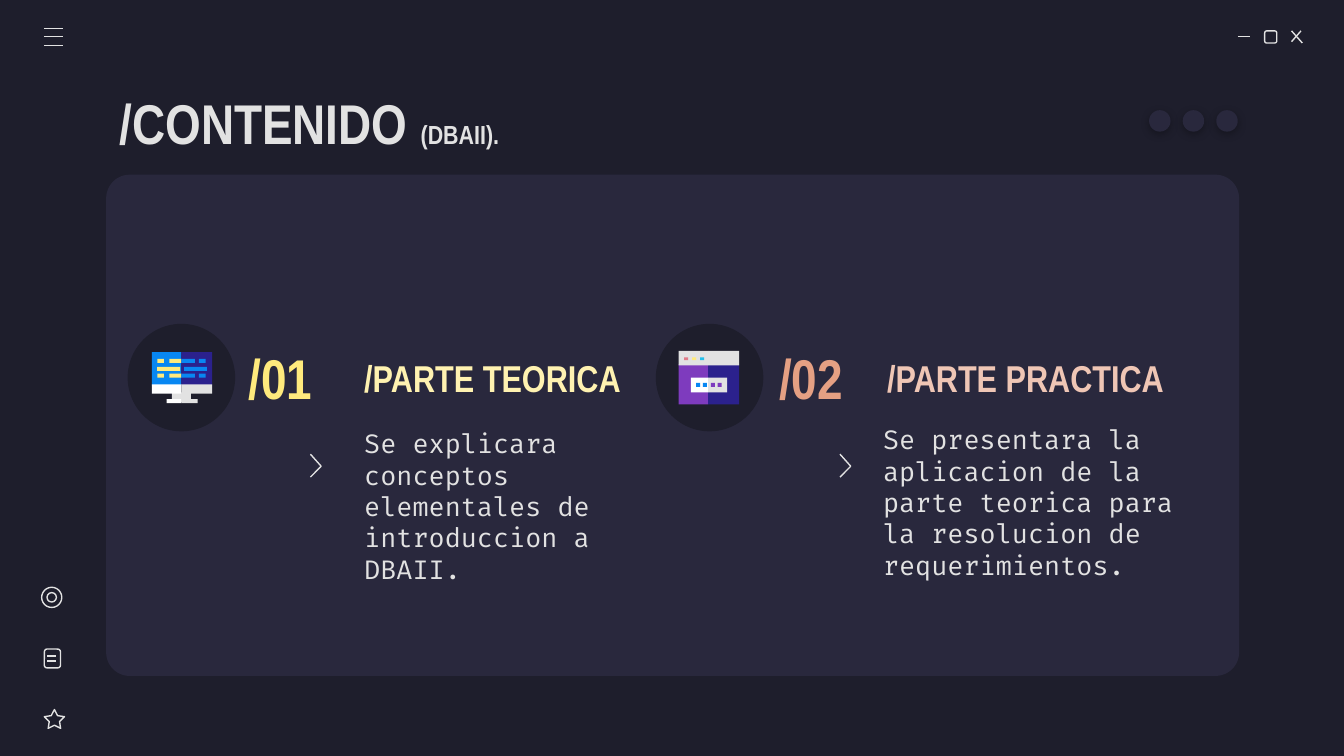
from pptx import Presentation
from pptx.dml.color import RGBColor
from pptx.enum.shapes import MSO_CONNECTOR, MSO_SHAPE
from pptx.enum.text import MSO_ANCHOR, MSO_AUTO_SIZE, PP_ALIGN
from pptx.oxml import parse_xml
from pptx.oxml.ns import nsdecls
from pptx.util import Inches, Pt

NIGHT = RGBColor(0x1E, 0x1E, 0x2C)
PANEL = RGBColor(0x29, 0x28, 0x3D)
LIGHT = RGBColor(0xE2, 0xE2, 0xE2)
WHITE = RGBColor(0xFF, 0xFF, 0xFF)
YELLOW = RGBColor(0xFF, 0xEA, 0x7D)
PALE_YELLOW = RGBColor(0xFF, 0xF2, 0xB1)
ORANGE = RGBColor(0xE5, 0xA0, 0x83)
PALE_ORANGE = RGBColor(0xEF, 0xC6, 0xB5)
BLUE = RGBColor(0x08, 0x87, 0xF2)
NAVY = RGBColor(0x2B, 0x21, 0x8D)
PURPLE = RGBColor(0x7E, 0x3B, 0xBE)
PINK = RGBColor(0xE0, 0x7A, 0x88)
CYAN = RGBColor(0x24, 0xBF, 0xEB)

HEADING_FONT = "Arial Narrow"
BODY_FONT = "Fira Code"


def add_block(shapes, kind, box, fill=None):
    """Add a filled shape without line, or a thin light outline if fill is None."""
    sp = shapes.add_shape(kind, *[Inches(v) for v in box])
    sp.shadow.inherit = False
    if fill is None:
        sp.fill.background()
        sp.line.color.rgb = LIGHT
        sp.line.width = Pt(0.75)
    else:
        sp.fill.solid()
        sp.fill.fore_color.rgb = fill
        sp.line.fill.background()
    return sp


def set_text(sp, box, runs, font, color, bold=True, align=PP_ALIGN.LEFT):
    """Place a text shape and fill it with (text, size) runs."""
    sp.left, sp.top, sp.width, sp.height = [Inches(v) for v in box]
    tf = sp.text_frame
    tf.word_wrap = True
    tf.auto_size = MSO_AUTO_SIZE.NONE
    tf.vertical_anchor = MSO_ANCHOR.MIDDLE
    tf.margin_left = tf.margin_right = tf.margin_top = tf.margin_bottom = Inches(0.1)
    p = tf.paragraphs[0]
    p.alignment = align
    p.space_before = Pt(0)
    pPr = p._p.get_or_add_pPr()
    pPr.set("marL", "0")
    pPr.set("indent", "0")
    pPr.append(parse_xml(f"<a:buNone {nsdecls('a')}/>"))
    for text, size in runs:
        r = p.add_run()
        r.text = text
        r.font.name = font
        r.font.size = Pt(size)
        r.font.bold = bold
        r.font.color.rgb = color


prs = Presentation()
prs.slide_width = Inches(10)
prs.slide_height = Inches(10) * 9 // 16
s = prs.slides.add_slide(prs.slide_layouts.get_by_name("Comparison"))
s.background.fill.solid()
s.background.fill.fore_color.rgb = NIGHT

# Panel, behind the text
panel = add_block(s.shapes, MSO_SHAPE.ROUNDED_RECTANGLE, (0.79, 1.3, 8.43, 3.73), PANEL)
panel.adjustments[0] = 0.047
panel.element.getparent().insert(2, panel.element)

# Title and the two sections
set_text(s.shapes.title, (0.79, 0.59, 8.43, 0.63),
         [("/CONTENIDO ", 30), ("(DBAII).", 14)], HEADING_FONT, LIGHT)

holders = {ph.placeholder_format.idx: ph for ph in s.placeholders}
sections = [
    (1, "/01", 1.63, YELLOW, "/PARTE TEORICA", 2.61, PALE_YELLOW,
     "Se explicara conceptos elementales de introduccion a DBAII.", 2.61, 3.39),
    (3, "/02", 5.58, ORANGE, "/PARTE PRACTICA", 6.5, PALE_ORANGE,
     "Se presentara la aplicacion de la parte teorica para la resolucion de requerimientos.",
     6.47, 3.36),
]
for idx, number, num_x, num_color, heading, head_x, head_color, body, body_x, body_y in sections:
    set_text(holders[idx], (head_x, 2.53, 2.56, 0.56), [(heading, 20)],
             HEADING_FONT, head_color)
    set_text(holders[idx + 1], (body_x, body_y, 2.56, 0.75), [(body, 14)],
             BODY_FONT, LIGHT, bold=False)
    number_box = s.shapes.add_textbox(0, 0, 0, 0)
    set_text(number_box, (num_x, 2.53, 0.91, 0.56), [(number, 30)],
             HEADING_FONT, num_color, align=PP_ALIGN.CENTER)

# Window buttons, menu and side bar
strokes = [
    (9.21, 0.27, 9.3, 0.27), (9.61, 0.23, 9.69, 0.32), (9.68, 0.23, 9.61, 0.31),
    (0.33, 0.21, 0.47, 0.21), (0.33, 0.27, 0.47, 0.27), (0.33, 0.34, 0.47, 0.34),
    (0.35, 4.88, 0.42, 4.88), (0.35, 4.92, 0.42, 4.92),
]
for ends in strokes:
    line = s.shapes.add_connector(MSO_CONNECTOR.STRAIGHT, *[Inches(v) for v in ends])
    line.line.color.rgb = LIGHT
    line.line.width = Pt(0.75)
    line._element.spPr.append(parse_xml(f"<a:effectLst {nsdecls('a')}/>"))

add_block(s.shapes, MSO_SHAPE.ROUNDED_RECTANGLE, (9.41, 0.23, 0.09, 0.09))
add_block(s.shapes, MSO_SHAPE.ROUNDED_RECTANGLE, (0.33, 4.83, 0.12, 0.14))
add_block(s.shapes, MSO_SHAPE.OVAL, (0.31, 4.37, 0.15, 0.15))
add_block(s.shapes, MSO_SHAPE.OVAL, (0.35, 4.41, 0.07, 0.07))
star = add_block(s.shapes, MSO_SHAPE.STAR_5_POINT, (0.33, 5.28, 0.15, 0.14))
star.adjustments[0] = 0.254

# Chevrons
for x in (2.31, 6.25):
    builder = s.shapes.build_freeform(Inches(x), Inches(3.38))
    builder.add_line_segments([(Inches(x + 0.08), Inches(3.47)),
                               (Inches(x), Inches(3.55))], close=False)
    chevron = builder.convert_to_shape()
    chevron.shadow.inherit = False
    chevron.fill.background()
    chevron.line.color.rgb = LIGHT
    chevron.line.width = Pt(0.75)

# Dots with a soft shadow
for i in range(3):
    dot = add_block(s.shapes, MSO_SHAPE.OVAL, (8.55 + 0.25 * i, 0.82, 0.16, 0.16), PANEL)
    spPr = dot._element.spPr
    spPr.remove(spPr.find("{*}effectLst"))
    spPr.append(parse_xml(
        f'<a:effectLst {nsdecls("a")}>'
        '<a:outerShdw blurRad="57150" dist="19050" dir="5400000" algn="bl" rotWithShape="0">'
        '<a:srgbClr val="000000"><a:alpha val="30000"/></a:srgbClr>'
        '</a:outerShdw></a:effectLst>'))

# Icons: a disc with the coloured blocks of each drawing
monitor = [
    (1.13, 2.62, 0.22, 0.25, BLUE), (1.35, 2.62, 0.23, 0.25, NAVY),
    (1.28, 2.92, 0.14, 0.07, LIGHT),
    (1.24, 2.97, 0.11, 0.03, WHITE), (1.35, 2.97, 0.12, 0.03, LIGHT),
    (1.13, 2.86, 0.22, 0.07, WHITE), (1.35, 2.86, 0.23, 0.07, LIGHT),
    (1.17, 2.73, 0.17, 0.03, YELLOW), (1.37, 2.73, 0.17, 0.03, BLUE),
]
for y in (2.67, 2.78):
    monitor += [
        (1.17, y, 0.05, 0.03, YELLOW), (1.26, y, 0.09, 0.03, YELLOW),
        (1.35, y, 0.1, 0.03, BLUE), (1.48, y, 0.05, 0.03, BLUE),
    ]
browser = [
    (5.05, 2.71, 0.22, 0.3, PURPLE), (5.27, 2.71, 0.23, 0.3, NAVY),
    (5.05, 2.61, 0.22, 0.11, LIGHT), (5.27, 2.61, 0.23, 0.11, LIGHT),
    (5.14, 2.81, 0.13, 0.11, WHITE), (5.27, 2.81, 0.14, 0.11, LIGHT),
]
browser += [(5.09 + 0.06 * i, 2.66, 0.03, 0.02, color)
            for i, color in enumerate((PINK, YELLOW, CYAN))]
browser += [(x, 2.85, 0.03, 0.03, color)
            for x, color in ((5.18, BLUE), (5.23, BLUE), (5.29, PURPLE), (5.34, PURPLE))]

for disc_x, blocks in ((0.95, monitor), (4.88, browser)):
    icon = s.shapes.add_group_shape()
    add_block(icon.shapes, MSO_SHAPE.OVAL, (disc_x, 2.41, 0.8, 0.8), NIGHT)
    for *box, color in blocks:
        add_block(icon.shapes, MSO_SHAPE.RECTANGLE, box, color)

prs.save("out.pptx")
